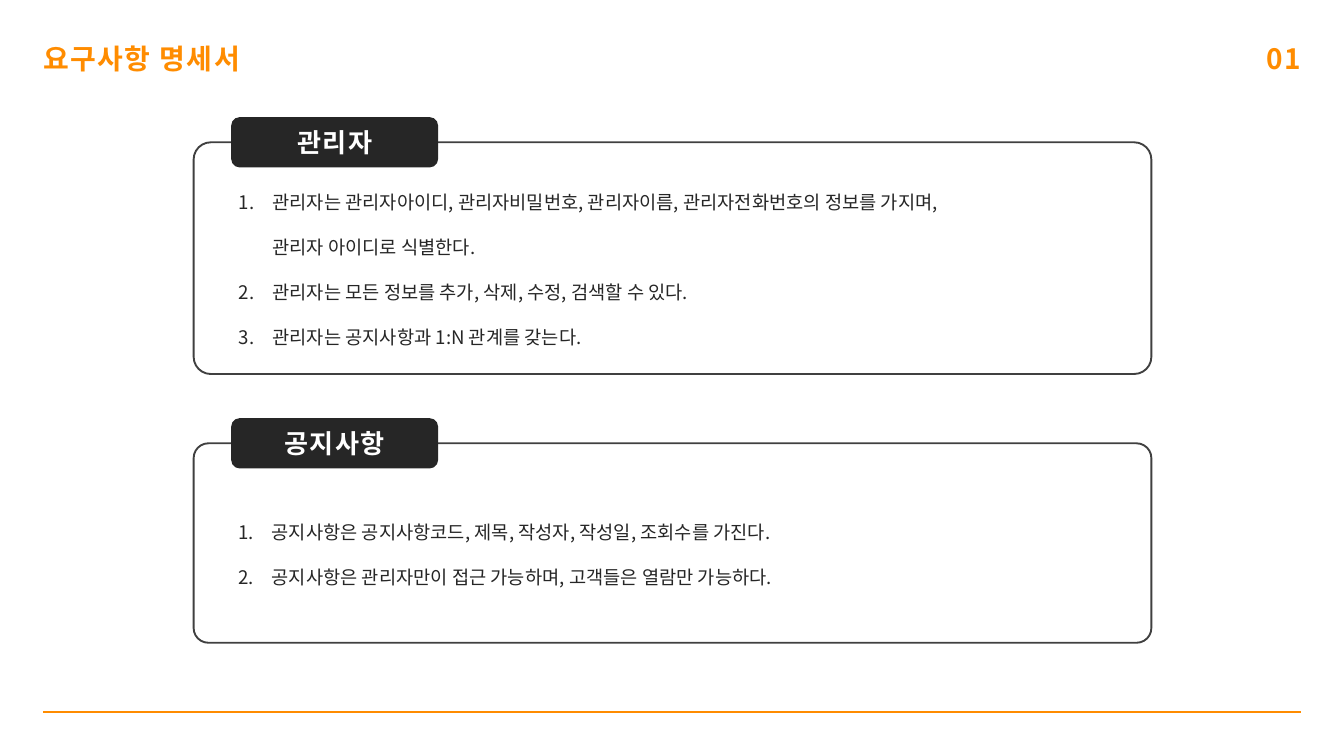
from lxml import etree
from pptx import Presentation
from pptx.dml.color import RGBColor
from pptx.enum.shapes import MSO_CONNECTOR, MSO_SHAPE
from pptx.enum.text import MSO_ANCHOR, PP_ALIGN
from pptx.oxml.ns import qn
from pptx.util import Cm, Pt

ORANGE = RGBColor(0xFF, 0x8C, 0x00)
BLACK = RGBColor(0x26, 0x26, 0x26)
GRAY = RGBColor(0x40, 0x40, 0x40)
WHITE = RGBColor(0xFF, 0xFF, 0xFF)
FONT = "Noto Sans CJK KR"
LEFT, CENTER, RIGHT = PP_ALIGN.LEFT, PP_ALIGN.CENTER, PP_ALIGN.RIGHT
MIDDLE = MSO_ANCHOR.MIDDLE
ROUND = MSO_SHAPE.ROUNDED_RECTANGLE
LINE = MSO_CONNECTOR.STRAIGHT

WIDTH, HEIGHT = 50.8, 28.58
EDGE = 1.63    # side margin of title, number and rule
STEP = 1.27    # list indent

# Each panel: tag, top, height, items as (start number or None, text)
PANELS = [
    ("관리자", 5.38, 8.76, [
        (1, "관리자는 관리자아이디, 관리자비밀번호, 관리자이름, 관리자전화번호의 정보를 가지며,"),
        (None, "\t관리자 아이디로 식별한다."),
        (2, "관리자는 모든 정보를 추가, 삭제, 수정, 검색할 수 있다."),
        (2, "관리자는 공지사항과 1:N 관계를 갖는다."),
    ]),
    ("공지사항", 16.76, 7.54, [
        (1, "공지사항은 공지사항코드, 제목, 작성자, 작성일, 조회수를 가진다."),
        (1, "공지사항은 관리자만이 접근 가능하며, 고객들은 열람만 가능하다."),
    ]),
]


def style(para, size, color, bold=False):
    font = para.font
    font.size, font.bold = Pt(size), bold
    font.color.rgb = color
    font.name = FONT
    props = para._p.pPr.find(qn("a:defRPr"))
    etree.SubElement(props, qn("a:ea")).set("typeface", FONT)
    if bold:
        props.set("spc", "160")


def heading(para, text, size, color, align):
    para.text = text
    para.alignment = align
    para.line_spacing = Pt(33)
    style(para, size, color, bold=True)


def item(para, start, text):
    para.text = text
    para.level = 1
    para.alignment = LEFT
    para.line_spacing = 2.0
    props = para._p.get_or_add_pPr()
    depth = 2 if start else 1
    props.set("marL", str(Cm(STEP * depth)))
    props.set("indent", str(Cm(-STEP if start else 0)))
    if start:
        mark = etree.SubElement(props, qn("a:buAutoNum"))
        mark.set("type", "arabicPeriod")
        if start > 1:
            mark.set("startAt", str(start))
    else:
        etree.SubElement(props, qn("a:buNone"))
    style(para, 20, BLACK)


def block(slide, x, y, w, h):
    shape = slide.shapes.add_shape(ROUND, Cm(x), Cm(y), Cm(w), Cm(h))
    shape.shadow.inherit = False
    shape.text_frame.word_wrap = True
    shape.text_frame.vertical_anchor = MIDDLE
    return shape


def panel(slide, x, y, w, h, name, items):
    # Outlined frame with the numbered list
    frame = block(slide, x, y, w, h)
    frame.adjustments[0] = 0.074
    frame.fill.background()
    frame.line.color.rgb = GRAY
    frame.line.width = Pt(2)
    body = frame.text_frame
    for i, (start, text) in enumerate(items):
        para = body.add_paragraph() if i else body.paragraphs[0]
        item(para, start, text)

    # Dark tag centred on the top edge
    tall = 1.9
    tag = block(slide, x + 1.42, y - tall / 2, 7.82, tall)
    tag.fill.solid()
    tag.fill.fore_color.rgb = BLACK
    tag.line.fill.background()
    heading(tag.text_frame.paragraphs[0], name, 28, WHITE, CENTER)


def label(slide, x, y, w, h, text, align):
    frame = slide.shapes.add_textbox(Cm(x), Cm(y), Cm(w), Cm(h)).text_frame
    frame.word_wrap = True
    frame.margin_left = frame.margin_right = 0
    frame.margin_top = frame.margin_bottom = 0
    heading(frame.paragraphs[0], text, 30, ORANGE, align)


def header(slide, x, y, w, h):
    label(slide, x, y, 10.31, h, "요구사항 명세서", LEFT)
    label(slide, x + w - 7.11, y, 7.11, h, "01", RIGHT)


def footer(slide, x, y, w):
    rule = slide.shapes.add_connector(LINE, Cm(x), Cm(y), Cm(x + w), Cm(y))
    rule.line.color.rgb = ORANGE
    rule.line.width = Pt(1.5)
    etree.SubElement(rule._element.spPr, qn("a:effectLst"))


def main():
    deck = Presentation()
    deck.slide_width, deck.slide_height = Cm(WIDTH), Cm(HEIGHT)
    slide = deck.slides.add_slide(deck.slide_layouts[6])
    inner = WIDTH - 2 * EDGE
    for name, top, tall, items in PANELS:
        panel(slide, 7.32, top, 36.2, tall, name, items)
    footer(slide, EDGE, 26.92, inner)
    header(slide, EDGE, 1.68, inner, 1.2)
    deck.save("out.pptx")


if __name__ == "__main__":
    main()
